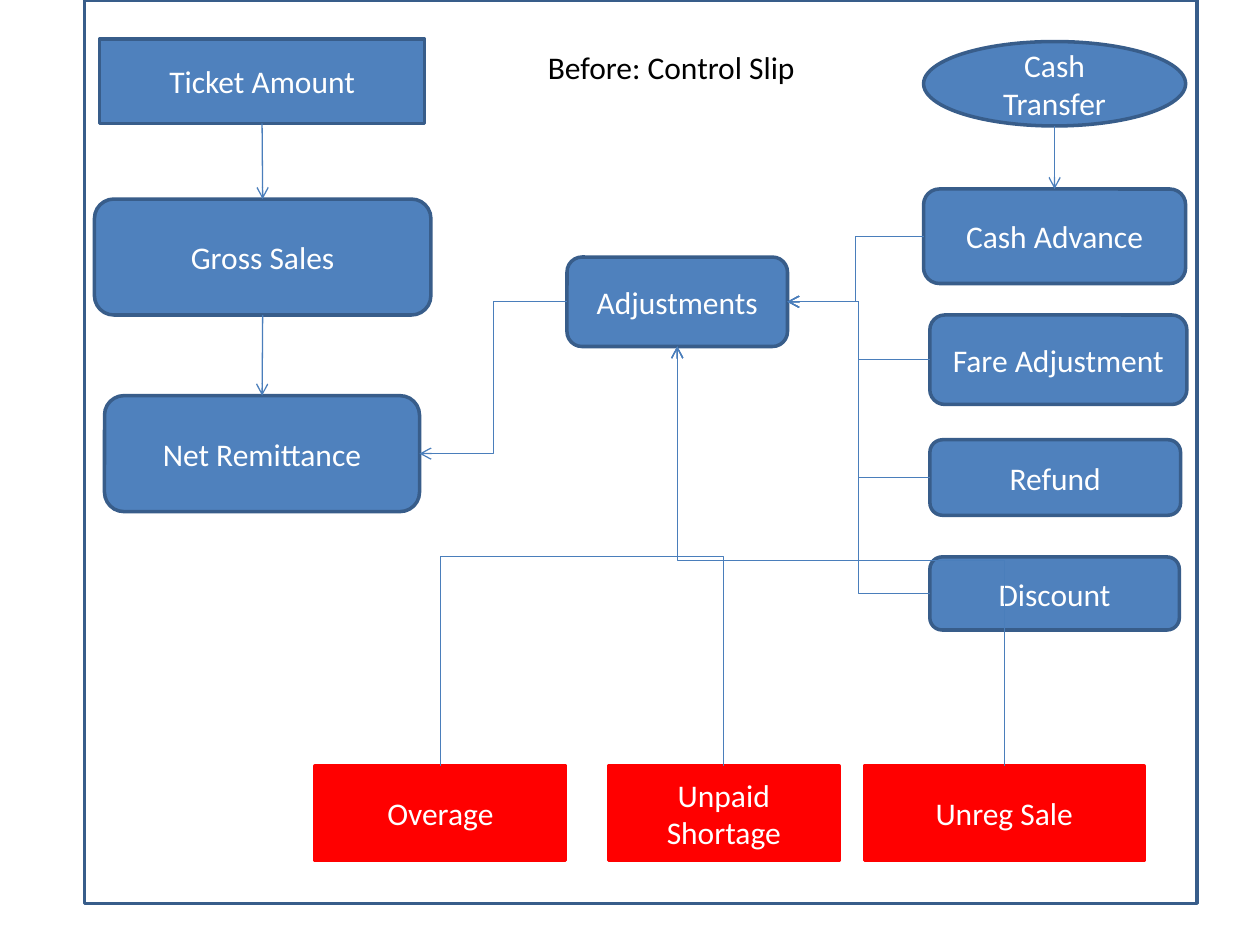
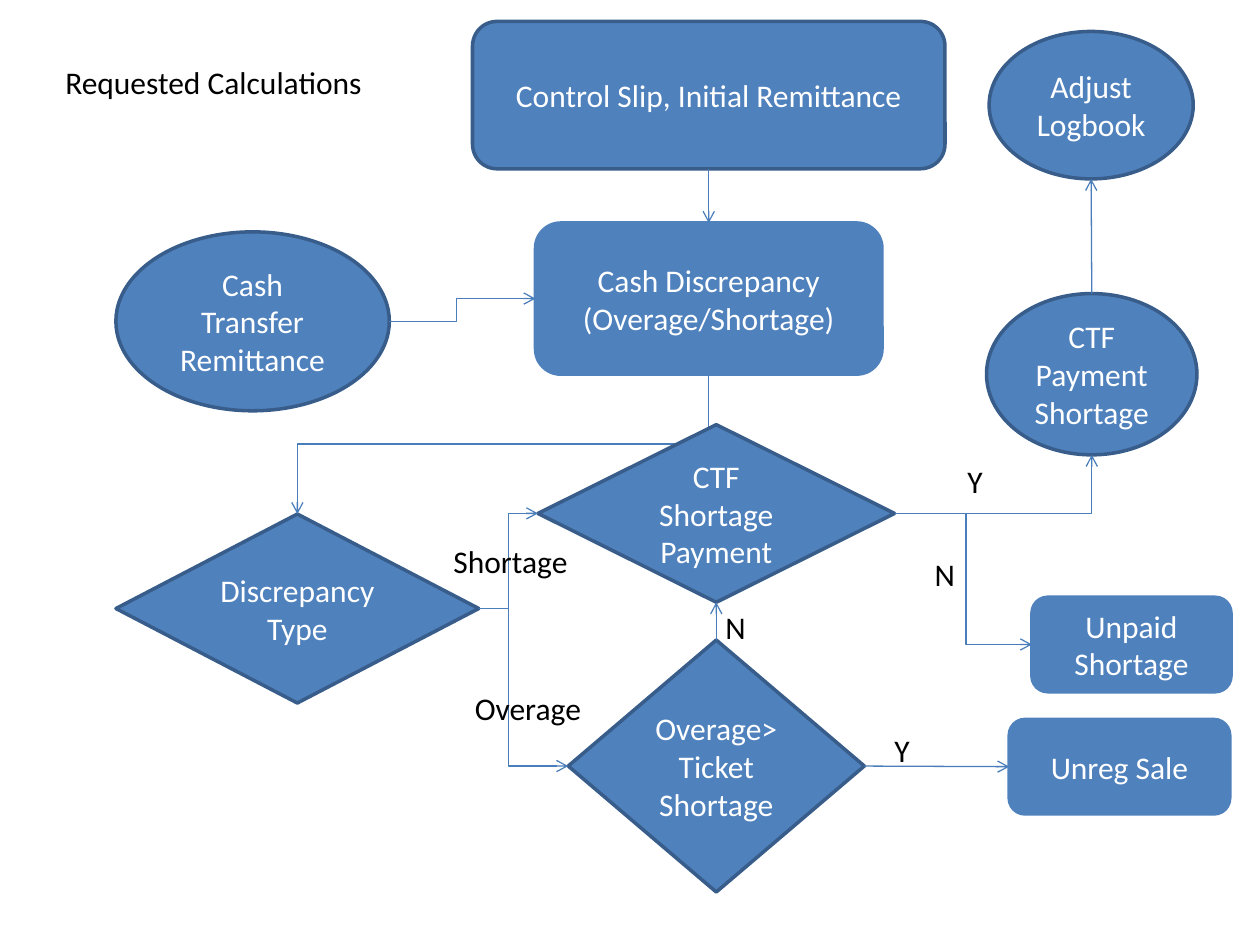
from lxml import etree
from pptx import Presentation
from pptx import util as u
from pptx.dml.color import RGBColor
from pptx.enum import shapes, text
from pptx.oxml.ns import qn

COLORS = {"blue": "4F81BD", "navy": "385D8A", "link": "4A7EBB",
          "red": "FF0000", "white": "FFFFFF", "black": "000000"}
FONT, SIZE = "Calibri", 18
SHAPE = shapes.MSO_SHAPE
KINDS = {"rect": SHAPE.RECTANGLE, "round": SHAPE.ROUNDED_RECTANGLE, "ellipse": SHAPE.OVAL,
         "decision": SHAPE.FLOWCHART_DECISION, "diamond": SHAPE.DIAMOND}
STYLES = {"plain": ("blue", "navy"), "flat": ("blue", "blue"),
          "alert": ("red", "red"), "frame": (None, "navy")}
SIDES = {"top": (0.5, 0), "left": (0, 0.5), "bottom": (0.5, 1), "right": (1, 0.5)}

BEFORE = [
    ("box", "Ticket Amount", "rect", "plain", (0.79, 0.31, 2.58, 0.67)),
    ("box", "Gross Sales", "round", "plain", (0.75, 1.58, 2.67, 0.92)),
    ("box", "Net Remittance", "round", "plain", (0.83, 3.14, 2.5, 0.92)),
    ("box", "Cash Transfer", "ellipse", "plain", (7.33, 0.33, 2.08, 0.67)),
    ("box", "Cash Advance", "round", "plain", (7.33, 1.5, 2.08, 0.75)),
    ("box", "Adjustments", "round", "plain", (4.5, 2.04, 1.75, 0.71)),
    ("box", "Overage", "rect", "alert", (2.5, 6.08, 1.99, 0.75)),
    ("box", "Unpaid Shortage", "rect", "alert", (4.83, 6.08, 1.83, 0.75)),
    ("box", "Unreg Sale", "rect", "alert", (6.86, 6.08, 2.22, 0.75)),
    ("box", "Fare Adjustment", "round", "plain", (7.38, 2.5, 2.04, 0.71)),
    ("box", "Refund", "round", "plain", (7.38, 3.49, 1.99, 0.6)),
    ("box", "Discount", "round", "plain", (7.38, 4.42, 1.98, 0.58)),
    ("box", "", "rect", "frame", (0.67, 0, 8.83, 7.17)),
    ("label", "Before: Control Slip", (4.25, 0.33, 2.17, 0.4)),
    ("link", "Ticket Amount", "bottom", "Gross Sales", "top"),
    ("link", "Gross Sales", "bottom", "Net Remittance", "top"),
    ("link", "Cash Transfer", "bottom", "Cash Advance", "top"),
    ("link", "Adjustments", "left", "Net Remittance", "right"),
    *[("link", name, "left", "Adjustments", "right")
      for name in ("Cash Advance", "Fare Adjustment", "Refund", "Discount")],
    *[("link", name, "top", "Adjustments", "bottom")
      for name in ("Overage", "Unpaid Shortage")],
    ("link", "Unreg Sale", "top", "Adjustments", "bottom", 0.49),
]

REQUESTED = [
    ("box", "Control Slip, Initial Remittance", "round", "plain", (3.75, 0.17, 3.75, 1.17)),
    ("box", "Cash Transfer Remittance", "ellipse", "plain", (0.92, 1.84, 2.17, 1.42)),
    ("box", "Cash Discrepancy (Overage/Shortage)", "round", "flat", (4.25, 1.77, 2.75, 1.2)),
    ("box", "Discrepancy Type", "decision", "plain", (0.92, 4.08, 2.88, 1.5)),
    ("link", "Cash Discrepancy (Overage/Shortage)", "bottom", "Discrepancy Type", "top"),
    ("box", "CTF Shortage Payment", "diamond", "plain", (4.27, 3.37, 2.83, 1.41)),
    ("box", "Overage>Ticket Shortage", "decision", "plain", (4.51, 5.08, 2.35, 2)),
    ("box", "CTF Payment Shortage", "ellipse", "plain", (7.83, 2.33, 1.67, 1.28)),
    ("box", "Adjust Logbook", "ellipse", "plain", (7.85, 0.25, 1.62, 1.17)),
    ("box", "Unpaid Shortage", "round", "flat", (8.19, 4.74, 1.58, 0.75)),
    ("box", "Unreg Sale", "round", "flat", (8.01, 5.71, 1.75, 0.75)),
    ("link", "Control Slip, Initial Remittance", "bottom",
     "Cash Discrepancy (Overage/Shortage)", "top"),
    ("link", "Cash Transfer Remittance", "right",
     "Cash Discrepancy (Overage/Shortage)", "left", 0.46),
    ("link", "Discrepancy Type", "right", "CTF Shortage Payment", "left"),
    ("link", "Discrepancy Type", "right", "Overage>Ticket Shortage", "left", 0.33),
    ("link", "CTF Shortage Payment", "right", "CTF Payment Shortage", "bottom"),
    ("link", "CTF Shortage Payment", "right", "Unpaid Shortage", "left", 0.52),
    ("link", "Overage>Ticket Shortage", "top", "CTF Shortage Payment", "bottom"),
    ("link", "Overage>Ticket Shortage", "right", "Unreg Sale", "left"),
    ("link", "CTF Payment Shortage", "top", "Adjust Logbook", "bottom"),
    ("label", "Requested Calculations", (0.42, 0.45, 2.83, 0.4)),
    ("label", "Shortage", (3.5, 4.25, 1.25, 0.4)),
    ("label", "Overage", (3.67, 5.42, 1.08, 0.4)),
    ("label", "Y", (7.58, 3.62, 1, 0.4)),
    ("label", "N", (7.32, 4.36, 0.79, 0.4)),
    ("label", "Y", (7, 5.75, 0.67, 0.4)),
    ("label", "N", (5.66, 4.78, 0.83, 0.4)),
]


def rgb(name):
    return RGBColor.from_string(COLORS[name])


def write(shape, words, color, alignment):
    shape.text_frame.word_wrap = True
    paragraph = shape.text_frame.paragraphs[0]
    paragraph.text = words
    paragraph.alignment = alignment
    paragraph.font.name, paragraph.font.size = FONT, u.Pt(SIZE)
    paragraph.font.color.rgb = rgb(color)


def add_box(slide, words, kind, style, place):
    shape = slide.shapes.add_shape(KINDS[kind], *map(u.Inches, place))
    shape.shadow.inherit = False
    fill, line = STYLES[style]
    if fill:
        shape.fill.solid()
        shape.fill.fore_color.rgb = rgb(fill)
    else:
        shape.fill.background()
    shape.line.color.rgb = rgb(line)
    shape.line.width = u.Pt(2)
    if words:
        shape.text_frame.vertical_anchor = text.MSO_ANCHOR.MIDDLE
        write(shape, words, "white", text.PP_ALIGN.CENTER)
    return shape


def add_label(slide, words, place):
    label = slide.shapes.add_textbox(*map(u.Inches, place))
    write(label, words, "black", text.PP_ALIGN.LEFT)


def anchor(shape, side):
    across, down = SIDES[side]
    return int(shape.left + across * shape.width), int(shape.top + down * shape.height)


def turn(connector, start, end):
    """Make an elbow leave its start vertically."""
    (x1, y1), (x2, y2) = start, end
    width, height = abs(y2 - y1), abs(x2 - x1)
    connector.left, connector.top = (x1 + x2 - width) // 2, (y1 + y2 - height) // 2
    connector.width, connector.height = width, height
    frame = connector._element.spPr.find(qn("a:xfrm"))
    frame.set("rot", str((90 if y2 > y1 else 270) * 60000))
    frame.set("flipH", "0")
    frame.set("flipV", str(int((x2 > x1) == (y2 > y1))))


def add_link(slide, boxes, source, source_side, target, target_side, bend=0.5):
    ends = [(boxes[source], source_side), (boxes[target], target_side)]
    start, end = (anchor(*item) for item in ends)
    straight = min(abs(a - b) for a, b in zip(start, end)) < u.Inches(0.03)
    kind = shapes.MSO_CONNECTOR.STRAIGHT if straight else shapes.MSO_CONNECTOR.ELBOW
    connector = slide.shapes.add_connector(kind, *start, *end)
    connector.line.color.rgb = rgb("link")
    connector.line.width = u.Pt(0.75)
    properties = connector._element.spPr
    if not straight:
        vertical = [side in ("top", "bottom") for side in (source_side, target_side)]
        geometry = properties.find(qn("a:prstGeom"))
        if vertical[0]:
            turn(connector, start, end)
        if vertical[0] != vertical[1]:
            geometry.set("prst", "bentConnector2")
        else:
            etree.SubElement(geometry.find(qn("a:avLst")), qn("a:gd"),
                             name="adj1", fmla=f"val {round(bend * 100000)}")
    etree.SubElement(properties.find(qn("a:ln")), qn("a:tailEnd"), type="arrow")
    etree.SubElement(properties, qn("a:effectLst"))
    glue = connector._element.nvCxnSpPr.cNvCxnSpPr
    for tag, (shape, side) in zip(("a:stCxn", "a:endCxn"), ends):
        step = 2 if shape.auto_shape_type == SHAPE.OVAL else 1
        etree.SubElement(glue, qn(tag), id=str(shape.shape_id),
                         idx=str(list(SIDES).index(side) * step))


def main():
    presentation = Presentation()
    presentation.slide_width, presentation.slide_height = u.Inches(10), u.Inches(7.5)
    for content in (BEFORE, REQUESTED):
        slide = presentation.slides.add_slide(presentation.slide_layouts[6])
        boxes = {}
        for part, *details in content:
            if part == "box":
                boxes[details[0]] = add_box(slide, *details)
            elif part == "label":
                add_label(slide, *details)
            else:
                add_link(slide, boxes, *details)
    presentation.save("out.pptx")


if __name__ == "__main__":
    main()
